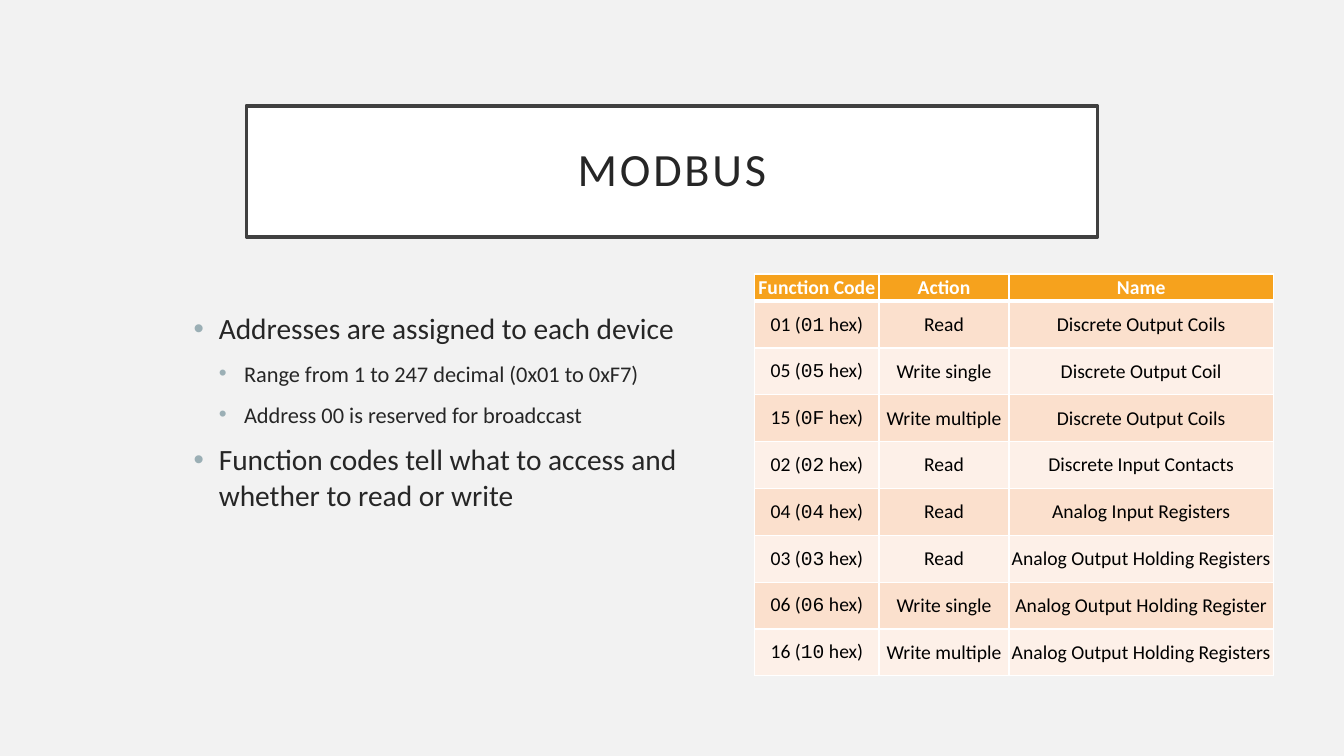
from dataclasses import dataclass

from lxml.etree import SubElement
from pptx import Presentation
from pptx.dml.color import RGBColor
from pptx.enum.shapes import MSO_SHAPE
from pptx.enum.text import MSO_ANCHOR, PP_ALIGN
from pptx.oxml.ns import qn
from pptx.util import Inches, Pt

GRID = 12


@dataclass(frozen=True)
class Theme:
    """Colours, fonts and type sizes of the slide."""
    background: str = "F2F2F2"
    white: str = "FFFFFF"
    frame: str = "404040"
    text: str = "262626"
    bullet: str = "9BAFB5"
    header: str = "F6A21D"
    bands: tuple = ("FBE0CD", "FDF0E8")
    cell_text: str = "000000"
    font: str = "Calibri"
    code_font: str = "Courier New"
    title_size: int = 33
    body_sizes: tuple = (21, 16)
    table_size: int = 14


THEME = Theme()

POINTS = [
    (0, "Addresses are assigned to each device"),
    (1, "Range from 1 to 247 decimal (0x01 to 0xF7)"),
    (1, "Address 00 is reserved for broadccast"),
    (0, "Function codes tell what to access and whether to read or write"),
]

HEADINGS = ("Function Code", "Action", "Name")
FUNCTIONS = [
    ("01", "01", "Read", "Discrete Output Coils"),
    ("05", "05", "Write single", "Discrete Output Coil"),
    ("15", "0F", "Write multiple", "Discrete Output Coils"),
    ("02", "02", "Read", "Discrete Input Contacts"),
    ("04", "04", "Read", "Analog Input Registers"),
    ("03", "03", "Read", "Analog Output Holding Registers"),
    ("06", "06", "Write single", "Analog Output Holding Register"),
    ("16", "10", "Write multiple", "Analog Output Holding Registers"),
]
COLUMN_WEIGHTS = (1.23, 1.29, 2.62)
ROW_WEIGHTS = (0.58,) + (1,) * len(FUNCTIONS)


def rgb(color):
    """Turn a hex string into a colour."""
    return RGBColor.from_string(color)


def grid_box(prs, col, row, cols, rows):
    """Return left, top, width and height of a block of grid cells."""
    w, h = prs.slide_width / GRID, prs.slide_height / GRID
    return [round(v) for v in (col * w, row * h, cols * w, rows * h)]


def add_run(p, text, size, color, font=THEME.font, bold=False):
    """Append a formatted run to a paragraph."""
    r = p.add_run()
    r.text = text
    r.font.size = Pt(size)
    r.font.name = font
    r.font.bold = bold
    r.font.color.rgb = rgb(color)
    return r


def add_title(slide, box, text):
    """Draw the framed, letter-spaced title."""
    sp = slide.shapes.add_shape(MSO_SHAPE.RECTANGLE, *box)
    sp.shadow.inherit = False
    sp.fill.solid()
    sp.fill.fore_color.rgb = rgb(THEME.white)
    sp.line.color.rgb = rgb(THEME.frame)
    sp.line.width = Pt(2.5)
    tf = sp.text_frame
    tf.word_wrap = True
    tf.vertical_anchor = MSO_ANCHOR.MIDDLE
    tf.margin_left = tf.margin_right = Inches(0.2)
    tf.margin_top = tf.margin_bottom = Inches(0.2)
    p = tf.paragraphs[0]
    p.alignment = PP_ALIGN.CENTER
    p.line_spacing = 0.9
    r = add_run(p, text, THEME.title_size, THEME.text)
    r.font._element.set("spc", "200")


def add_bullets(slide, box, points):
    """Draw the two-level bullet list."""
    tf = slide.shapes.add_textbox(*box).text_frame
    tf.word_wrap = True
    for i, (level, text) in enumerate(points):
        p = tf.add_paragraph() if i else tf.paragraphs[0]
        p.level = level
        if i:
            p.space_before = Pt(10)
        pPr = p._p.get_or_add_pPr()
        pPr.set("marL", str(Inches(0.25 * (level + 1))))
        pPr.set("indent", str(Inches(-0.25)))
        color = SubElement(pPr, qn("a:buClr"))
        SubElement(color, qn("a:srgbClr"), val=THEME.bullet)
        SubElement(pPr, qn("a:buFont"), typeface="Arial")
        SubElement(pPr, qn("a:buChar"), char="•")
        add_run(p, text, THEME.body_sizes[level], THEME.text)


def style_cell(cell, fill, top=1, bottom=1):
    """Set borders, fill, margins and centring of a cell."""
    tcPr = cell._tc.get_or_add_tcPr()
    for side, width in (("L", 1), ("R", 1), ("T", top), ("B", bottom)):
        ln = SubElement(tcPr, qn(f"a:ln{side}"), w=str(Pt(width)))
        SubElement(SubElement(ln, qn("a:solidFill")), qn("a:srgbClr"), val=THEME.white)
    cell.fill.solid()
    cell.fill.fore_color.rgb = rgb(fill)
    cell.margin_left = cell.margin_right = cell.margin_top = cell.margin_bottom = 0
    cell.vertical_anchor = MSO_ANCHOR.MIDDLE
    cell.text_frame.paragraphs[0].alignment = PP_ALIGN.CENTER


def add_function_table(slide, box, headings, functions):
    """Draw the table of function codes."""
    width, height = box[2:]
    table = slide.shapes.add_table(len(functions) + 1, len(headings), *box).table
    table.horz_banding = False
    for column, weight in zip(table.columns, COLUMN_WEIGHTS):
        column.width = round(width * weight / sum(COLUMN_WEIGHTS))
    for row, weight in zip(table.rows, ROW_WEIGHTS):
        row.height = round(height * weight / sum(ROW_WEIGHTS))
    size = THEME.table_size
    for cell, heading in zip(table.rows[0].cells, headings):
        style_cell(cell, THEME.header, bottom=3)
        add_run(cell.text_frame.paragraphs[0], heading, size, THEME.white, bold=True)
    for i, (code, hex_code, action, name) in enumerate(functions):
        cells = list(table.rows[i + 1].cells)
        for cell in cells:
            style_cell(cell, THEME.bands[i % 2], top=1 if i else 3)
        code_p, action_p, name_p = [c.text_frame.paragraphs[0] for c in cells]
        add_run(code_p, f"{code} (", size, THEME.cell_text)
        add_run(code_p, hex_code, size, THEME.cell_text, THEME.code_font)
        add_run(code_p, " hex)", size, THEME.cell_text)
        add_run(action_p, action, size, THEME.cell_text)
        add_run(name_p, name, size, THEME.cell_text)


def main():
    """Build and save the slide."""
    prs = Presentation()
    prs.slide_width, prs.slide_height = Inches(13.33), Inches(7.5)
    slide = prs.slides.add_slide(prs.slide_layouts[6])
    slide.background.fill.solid()
    slide.background.fill.fore_color.rgb = rgb(THEME.background)
    add_title(slide, grid_box(prs, 2.2, 1.68, 7.6, 2.08), "MODBUS")
    add_bullets(slide, grid_box(prs, 1.64, 4.85, 4.5, 5.42), POINTS)
    add_function_table(slide, grid_box(prs, 6.74, 4.35, 4.63, 6.38), HEADINGS, FUNCTIONS)
    prs.save("out.pptx")


if __name__ == "__main__":
    main()
